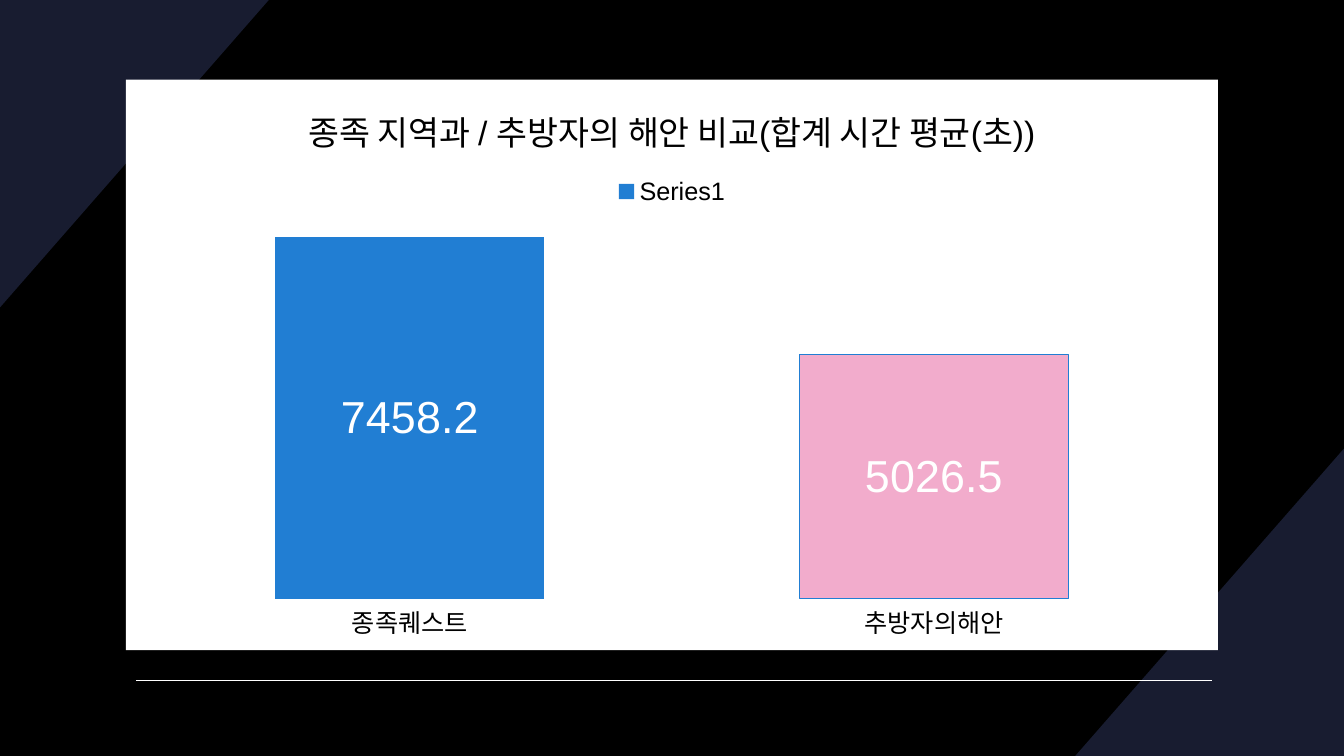
from lxml.etree import SubElement
from pptx import Presentation
from pptx.chart.data import CategoryChartData
from pptx.dml.color import RGBColor
from pptx.enum.chart import XL_CHART_TYPE, XL_LABEL_POSITION, XL_LEGEND_POSITION, XL_TICK_MARK
from pptx.oxml import parse_xml
from pptx.oxml.ns import nsdecls, qn
from pptx.util import Pt

COLORS = {
    "background": "000000",
    "corner": "181C30",
    "white": "FFFFFF",
    "text": "000000",
    "quest": "217ED3",
    "reach": "F2ACCC",
}
FONT = "Arial"
WIDTH, HEIGHT = 960, 540
CORNER_W, CORNER_H = 192, 219.6


def rgb(name):
    return RGBColor.from_string(COLORS[name])


def paint(fill, color):
    fill.solid()
    fill.fore_color.rgb = rgb(color)


def style_font(font, size, color):
    font.name = FONT
    font.size = Pt(size)
    font.bold = False
    font.color.rgb = rgb(color)


def add_corner(s, points):
    start, *rest = [(Pt(x), Pt(y)) for x, y in points]
    builder = s.shapes.build_freeform(*start)
    builder.add_line_segments(rest, close=True)
    sp = builder.convert_to_shape()
    sp.shadow.inherit = False
    paint(sp.fill, "corner")
    sp.line.fill.background()


def add_rule(s, x1, x2, y):
    line = s.shapes.add_connector(1, Pt(x1), Pt(y), Pt(x2), Pt(y))
    line.line.color.rgb = rgb("white")
    line.line.width = Pt(1)
    SubElement(line._element.spPr, qn("a:effectLst"))


def set_chart_fill(chart, color):
    fill = parse_xml(
        f'<c:spPr {nsdecls("c", "a")}><a:solidFill><a:srgbClr val="{COLORS[color]}"/>'
        "</a:solidFill><a:ln><a:noFill/></a:ln></c:spPr>"
    )
    chart._chartSpace.find(qn("c:chart")).addnext(fill)


def set_plot_layout(chart, x, y, w, h):
    area = chart._chartSpace.find(qn("c:chart")).find(qn("c:plotArea"))
    old = area.find(qn("c:layout"))
    if old is not None:
        area.remove(old)
    layout = parse_xml(
        f'<c:layout {nsdecls("c")}><c:manualLayout><c:layoutTarget val="inner"/>'
        '<c:xMode val="edge"/><c:yMode val="edge"/>'
        f'<c:x val="{x}"/><c:y val="{y}"/><c:w val="{w}"/><c:h val="{h}"/>'
        "</c:manualLayout></c:layout>"
    )
    area.insert(0, layout)


def style_title(chart, text):
    tf = chart.chart_title.text_frame
    tf.text = text
    style_font(tf.paragraphs[0].runs[0].font, 24, "text")
    chart.chart_title.include_in_layout = False


def style_axes(chart):
    axis = chart.category_axis
    axis.major_tick_mark = XL_TICK_MARK.NONE
    axis.minor_tick_mark = XL_TICK_MARK.NONE
    axis.format.line.color.rgb = rgb("white")
    axis.format.line.width = Pt(0.75)
    style_font(axis.tick_labels.font, 18, "text")
    values = chart.value_axis
    values.minimum_scale, values.maximum_scale = 0, 8000
    values.has_major_gridlines = False
    values.visible = False


def style_bars(plot):
    plot.gap_width = 95
    plot.overlap = 100
    plot.vary_by_categories = False
    series = plot.series[0]
    paint(series.format.fill, "quest")
    reach = series.points[1].format
    paint(reach.fill, "reach")
    reach.line.color.rgb = rgb("quest")
    reach.line.width = Pt(0.75)
    labels = series.data_labels
    labels.show_value = True
    labels.position = XL_LABEL_POSITION.CENTER
    style_font(labels.font, 32, "white")


def add_time_chart(s):
    data = CategoryChartData(number_format="General")
    data.categories = ["종족퀘스트", "추방자의해안"]
    data.add_series("Series1", [7458.2, 5026.5])
    chart = s.shapes.add_chart(
        XL_CHART_TYPE.COLUMN_STACKED, Pt(90), Pt(56.9), Pt(780), Pt(407.5), data
    ).chart
    style_font(chart.font, 10, "white")
    set_chart_fill(chart, "white")
    style_title(chart, "종족 지역과 / 추방자의 해안 비교(합계 시간 평균(초))")
    chart.has_legend = True
    chart.legend.position = XL_LEGEND_POSITION.TOP
    chart.legend.include_in_layout = False
    style_font(chart.legend.font, 18, "text")
    style_axes(chart)
    style_bars(chart.plots[0])
    set_plot_layout(chart, 0.02, 0.23, 0.96, 0.68)


def main():
    prs = Presentation()
    prs.slide_width, prs.slide_height = Pt(WIDTH), Pt(HEIGHT)
    s = prs.slides.add_slide(prs.slide_layouts[6])
    paint(s.background.fill, "background")
    add_corner(s, [(WIDTH, HEIGHT - CORNER_H), (WIDTH, HEIGHT), (WIDTH - CORNER_W, HEIGHT)])
    add_corner(s, [(0, CORNER_H), (0, 0), (CORNER_W, 0)])
    add_rule(s, 97.2, 865.5, 486)
    add_time_chart(s)
    prs.save("out.pptx")


if __name__ == "__main__":
    main()
